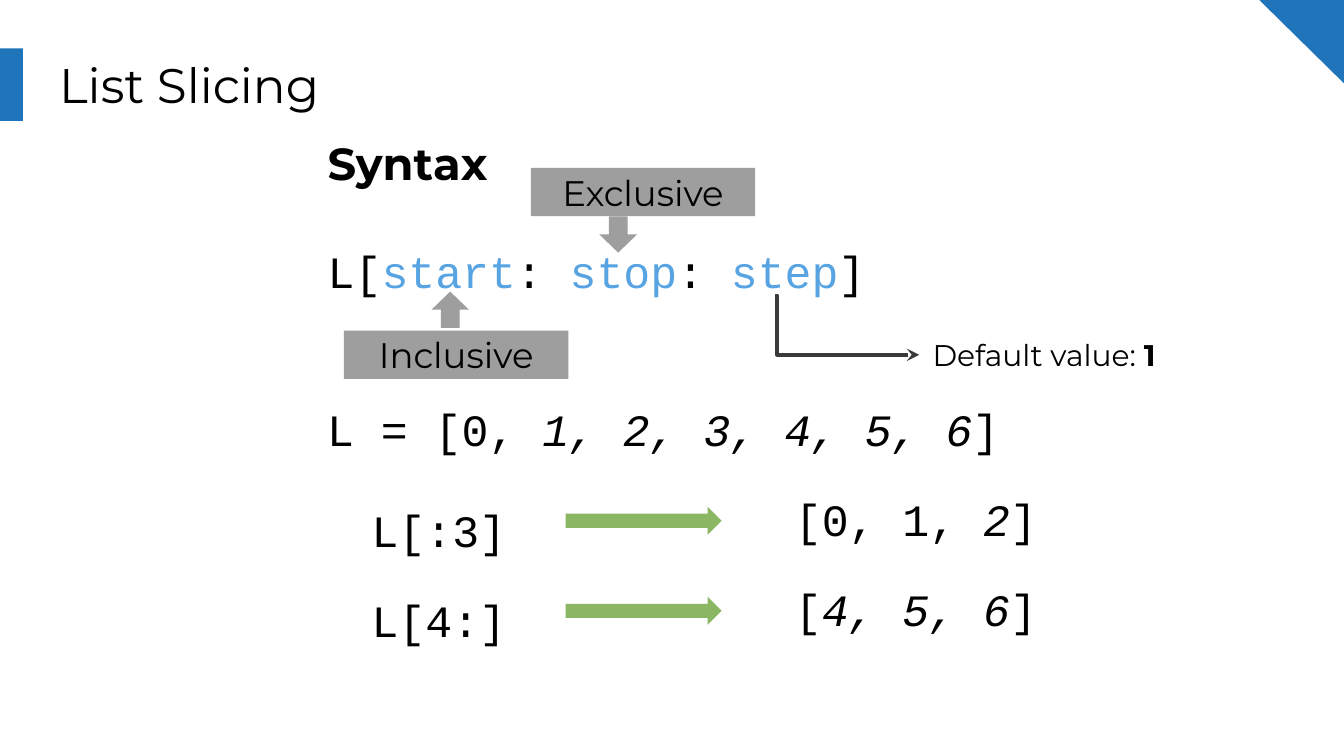
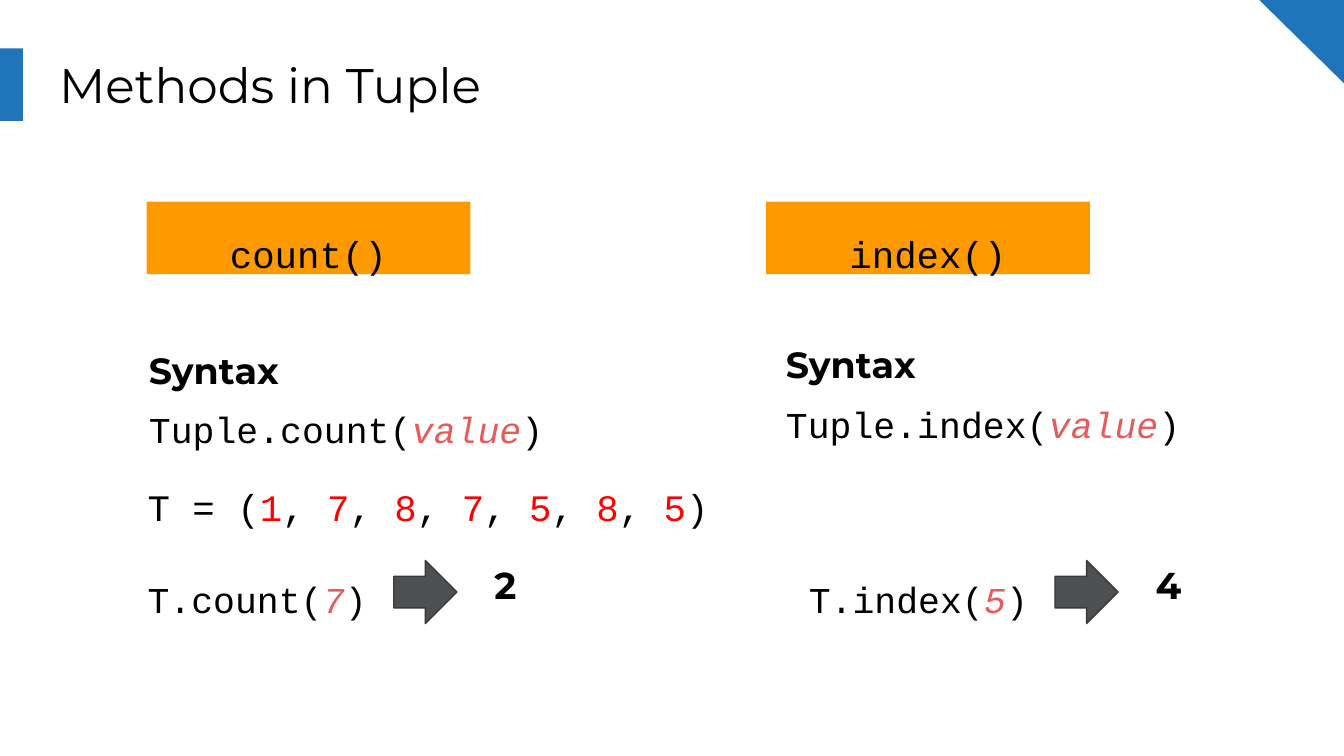
from pptx import Presentation
from pptx.dml.color import RGBColor
from pptx.enum.shapes import MSO_CONNECTOR as Link, MSO_SHAPE as Shape
from pptx.enum.text import MSO_ANCHOR as Anchor, MSO_AUTO_SIZE as AutoSize, PP_ALIGN as Align
from pptx.oxml.ns import qn
from pptx.util import Emu, Pt
from lxml.etree import SubElement

PX = 9144
BLUE, GRAY, GREEN, ORANGE = "2074B9", "9E9E9E", "8BB762", "FF9900"
BLACK, SKY, CORAL, RED = "000000", "58A4E2", "E85B5B", "FF0000"
DARK, EDGE = "4E4F50", "3A3A3A"
SANS = {"name": "Montserrat", "bold": False, "italic": False, "color": BLACK}
MONO = {**SANS, "name": "Courier New"}
BOLD = {"bold": True}
ITALIC = {"italic": True}
VALUE = {"italic": True, "color": CORAL}


def px(*lengths):
    """Turn pixel lengths into EMU."""
    return [Emu(length * PX) for length in lengths]


def rgb(value):
    """Turn a hex string into a colour."""
    return RGBColor.from_string(value)


def write(shape, lines, base, size, align=Align.LEFT, anchor=Anchor.TOP, **spacing):
    """Write lines, each a list of (text, format changes), into a shape."""
    frame = shape.text_frame
    margins = dict.fromkeys(("margin_left", "margin_top", "margin_right", "margin_bottom"), Emu(10 * PX))
    settings = {"word_wrap": True, "auto_size": AutoSize.NONE, "vertical_anchor": anchor, **margins}
    for key, value in settings.items():
        setattr(frame, key, value)
    for index, line in enumerate(lines):
        para = frame.paragraphs[0] if index == 0 else frame.add_paragraph()
        para.alignment = align
        for key, value in spacing.items():
            if key != "space_before" or index:
                setattr(para, key, value)
        for text, changes in line:
            span = para.add_run()
            span.text = text
            formats = {**base, "size": Pt(size), **changes}
            span.font.color.rgb = rgb(formats.pop("color"))
            for key, value in formats.items():
                setattr(span.font, key, value)


def add_text(page, box, lines, base, size, **options):
    """Add a text box and return it."""
    shape = page.shapes.add_textbox(*px(*box))
    write(shape, lines, base, size, **options)
    return shape


def add_block(page, kind, box, fill, edge=None, rotation=0):
    """Add a filled preset shape and return it."""
    shape = page.shapes.add_shape(kind, *px(*box))
    shape.shadow.inherit = False
    shape.rotation = rotation
    shape.fill.solid()
    shape.fill.fore_color.rgb = rgb(fill)
    if edge:
        shape.line.color.rgb = rgb(edge)
        shape.line.width = Pt(0.75)
    else:
        shape.line.fill.background()
    return shape


def decorate_layout(page):
    """Place the title band and the corner on the layout of a page."""
    band = add_block(page, Shape.RECTANGLE, (0, 36, 17, 54), BLUE)
    corner = add_block(page, Shape.RIGHT_TRIANGLE, (937, 0, 64, 63), BLUE, rotation=180)
    for number, part in enumerate((band, corner), start=101):
        part.element.nvSpPr.cNvPr.set("id", str(number))
        page.slide_layout.shapes.element.append(part.element)


def add_page(deck, title):
    """Add a title-only page with its formatted title."""
    page = deck.slides.add_slide(deck.slide_layouts[5])
    heading = page.shapes.title
    heading.left, heading.top, heading.width, heading.height = px(34, 31, 932, 63)
    write(heading, [[(title, {})]], SANS, 26, anchor=Anchor.MIDDLE)
    return page


def add_callout(page, box, text, arrow, arrow_left, arrow_top):
    """Add a gray label with an arrow to the part of the syntax it explains."""
    label = add_block(page, Shape.RECTANGLE, box, GRAY)
    write(label, [[(text, {})]], SANS, 19, align=Align.CENTER, anchor=Anchor.MIDDLE)
    add_block(page, arrow, (arrow_left, arrow_top, 28, 27), GRAY)


def add_default_note(page, box):
    """Add the note on the default step and the bent arrow leading to it."""
    left, top, width, height = box
    note = add_text(page, box, [[("Default value: ", {}), ("1", BOLD)]], SANS, 16, anchor=Anchor.MIDDLE)
    arrow = page.shapes.add_connector(Link.ELBOW, *px(left - 107, top - 26, left, top + height // 2))
    arrow.end_connect(note, 1)
    arrow.line.color.rgb = rgb(EDGE)
    arrow.line.width = Pt(2.25)
    properties = arrow.element.spPr
    SubElement(properties.find(qn("a:ln")), qn("a:tailEnd"), type="stealth")
    SubElement(properties, qn("a:effectLst"))
    adjustments = properties.find(qn("a:prstGeom")).get_or_add_avLst()
    SubElement(adjustments, qn("a:gd"), name="adj1", fmla="val 1300")


def add_slice_row(page, left, top, code, result):
    """Add a slice, a green arrow and the list it gives."""
    add_text(page, (left, top, 169, 55), [[(code, {})]], MONO, 24, align=Align.CENTER)
    add_block(page, Shape.RIGHT_ARROW, (left + 179, top + 13, 116, 21), GREEN)
    add_text(page, (left + 296, top - 8, 287, 63), [result], MONO, 24, align=Align.CENTER)


def build_slicing(deck):
    """Build the list slicing page."""
    page = add_page(deck, "List Slicing")
    part = {"color": SKY}
    syntax = [("L[", {}), ("start", part), (": ", {}), ("stop", part), (": ", {}), ("step", part), ("]", {})]
    heading = [("Syntax", {**SANS, **BOLD})]
    add_text(page, (234, 91, 422, 141), [heading, syntax], MONO, 24, space_before=Pt(29))
    numbers = [("L = [0, ", {}), ("1, 2, 3, 4, 5, 6", ITALIC), ("]", {})]
    add_text(page, (167, 289, 653, 55), [numbers], MONO, 24, align=Align.CENTER)
    add_callout(page, (256, 246, 167, 36), "Inclusive", Shape.UP_ARROW, 321, 217)
    add_callout(page, (395, 125, 167, 36), "Exclusive", Shape.DOWN_ARROW, 446, 161)
    add_default_note(page, (684, 246, 219, 36))
    rows = [
        ("L[:3]", [("[0, 1, ", {}), ("2", ITALIC), ("]", {})]),
        ("L[4:]", [("[", {}), ("4, 5, 6", ITALIC), ("]", {})]),
    ]
    for index, (code, result) in enumerate(rows):
        add_slice_row(page, 242, 364 + 67 * index, code, result)
    return page


def add_method(page, name, header_left, syntax_box):
    """Add the orange header and the syntax of a method."""
    header = add_block(page, Shape.RECTANGLE, (header_left, 150, 241, 54), ORANGE)
    write(header, [[(f"{name}()", {})]], MONO, 20, align=Align.CENTER, line_spacing=1.36)
    syntax = [(f"Tuple.{name}(", {}), ("value", VALUE), (")", {})]
    heading = [("Syntax", {**SANS, **BOLD})]
    add_text(page, syntax_box, [heading, syntax], MONO, 19.5, line_spacing=1.36)


def add_example(page, left, top, name, argument, result):
    """Add a method call, a dark arrow and the result."""
    call = [(f"T.{name}(", {}), (argument, VALUE), (")", {})]
    add_text(page, (left, top, 186, 53), [call], MONO, 19.5, line_spacing=1.36)
    add_block(page, Shape.DOWN_ARROW, (left + 193, top + 9, 47, 47), DARK, EDGE, 270)
    add_text(page, (left + 258, top, 73, 54), [[(result, BOLD)]], SANS, 20)


def build_methods(deck):
    """Build the tuple methods page."""
    page = add_page(deck, "Methods in Tuple")
    spans = [("T = (", {})]
    for index, digit in enumerate("1787585"):
        if index:
            spans.append((", ", {}))
        spans.append((digit, {"color": RED}))
    add_text(page, (100, 350, 449, 54), [spans + [(")", {})]], MONO, 20)
    add_method(page, "count", 109, (101, 237, 342, 100))
    add_method(page, "index", 570, (575, 233, 360, 98))
    add_example(page, 100, 408, "count", "7", "2")
    add_example(page, 592, 408, "index", "5", "4")


def main():
    """Build and save the deck."""
    deck = Presentation()
    deck.slide_width = Emu(1000 * PX)
    deck.slide_height = Emu(deck.slide_width * 9 // 16)
    decorate_layout(build_slicing(deck))
    build_methods(deck)
    deck.save("out.pptx")


if __name__ == "__main__":
    main()
